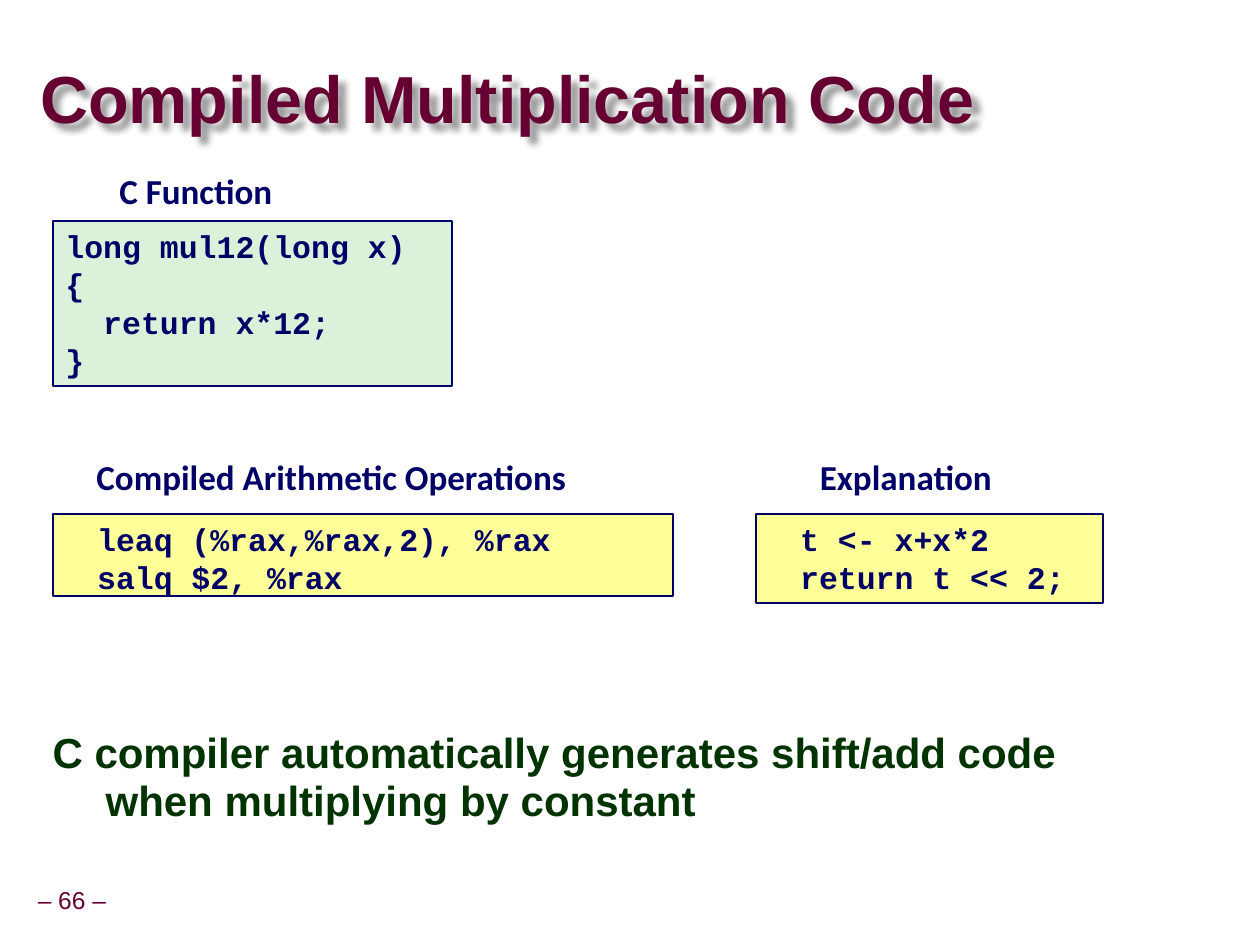
from lxml import etree
from pptx import Presentation
from pptx.dml.color import RGBColor
from pptx.enum import shapes, text
from pptx.oxml import ns
from pptx.util import Cm, Pt

COLORS = {
    "maroon": "660033",
    "navy": "000066",
    "forest": "003300",
    "mint": "DBF2DA",
    "yellow": "FFFF99",
    "shadow": "000000",
}
TAB_STOPS = (0.64, 2.54)


def rgb(name):
    """Return the named palette colour."""
    return RGBColor.from_string(COLORS[name])


def style(paragraph, face, size, color, bold=True, spacing=None):
    """Set the font and line spacing of a paragraph."""
    font = paragraph.font
    font.name, font.size, font.bold = face, Pt(size), bold
    font.color.rgb = rgb(color)
    if spacing:
        paragraph.line_spacing = spacing


def set_insets(frame, horizontal, vertical):
    """Set the inner margins of a text frame in centimetres."""
    frame.margin_left = frame.margin_right = Cm(horizontal)
    frame.margin_top = frame.margin_bottom = Cm(vertical)


def add_tab_stops(paragraph):
    """Add the left tab stops that align the code columns."""
    properties = paragraph._p.get_or_add_pPr()
    stops = etree.SubElement(properties, ns.qn("a:tabLst"))
    for position in TAB_STOPS:
        etree.SubElement(stops, ns.qn("a:tab"), pos=str(Cm(position)), algn="l")


def add_soft_shadow(shape):
    """Give the shape a blurred shadow to the lower right."""
    effects = etree.SubElement(shape._element.spPr, ns.qn("a:effectLst"))
    shadow = etree.SubElement(effects, ns.qn("a:outerShdw"), blurRad="50800",
                              dist="63500", dir="2700000", algn="tl", rotWithShape="0")
    color = etree.SubElement(shadow, ns.qn("a:srgbClr"), val=COLORS["shadow"])
    etree.SubElement(color, ns.qn("a:alpha"), val="40000")


def fill_title(slide, left, top, width, height):
    """Place and format the slide title."""
    title = slide.shapes.title
    title.left, title.top, title.width, title.height = map(Cm, (left, top, width, height))
    frame = title.text_frame
    frame.text = "Compiled Multiplication Code"
    frame.vertical_anchor = text.MSO_ANCHOR.MIDDLE
    frame.auto_size = text.MSO_AUTO_SIZE.NONE
    set_insets(frame, 0, 0)
    heading = frame.paragraphs[0]
    heading.alignment = text.PP_ALIGN.LEFT
    style(heading, "Arial", 38, "maroon", spacing=0.87)
    add_soft_shadow(title)


def add_label(slide, wording, left, top, width, height, **look):
    """Add a one-line centred label."""
    frame = slide.shapes.add_textbox(*map(Cm, (left, top, width, height))).text_frame
    frame.text = wording
    frame.word_wrap = False
    frame.vertical_anchor = text.MSO_ANCHOR.MIDDLE
    set_insets(frame, 0.13, 0.13)
    frame.paragraphs[0].alignment = text.PP_ALIGN.CENTER
    style(frame.paragraphs[0], **look)


def add_code_panel(slide, caption, code, fill, left, top, width, height,
                   caption_offset, caption_width, caption_rise):
    """Add a framed code listing with a caption above it."""
    panel = slide.shapes.add_shape(shapes.MSO_SHAPE.RECTANGLE,
                                   *map(Cm, (left, top, width, height)))
    panel.shadow.inherit = False
    panel.fill.solid()
    panel.fill.fore_color.rgb = rgb(fill)
    panel.line.color.rgb = rgb("navy")
    panel.line.width = Pt(1)
    frame = panel.text_frame
    frame.word_wrap = True
    frame.vertical_anchor = text.MSO_ANCHOR.TOP
    set_insets(frame, 0.25, 0.13)
    frame.text = code
    for line in frame.paragraphs:
        line.alignment = text.PP_ALIGN.LEFT
        if "\t" in line.text:
            add_tab_stops(line)
        style(line, "Courier New", 18, "navy")
    add_label(slide, caption, left + caption_offset, top - caption_rise,
              caption_width, 1.12, face="Calibri", size=20, color="navy")


def add_conclusion(slide, left, top, width, height):
    """Add the closing statement with a hanging indent."""
    frame = slide.shapes.add_textbox(*map(Cm, (left, top, width, height))).text_frame
    frame.word_wrap = True
    set_insets(frame, 0.25, 0.13)
    frame.text = ("C compiler automatically generates shift/add code "
                  "when multiplying by constant")
    statement = frame.paragraphs[0]
    properties = statement._p.get_or_add_pPr()
    properties.set("marL", str(Cm(1.07)))
    properties.set("indent", str(-Cm(1.07)))
    style(statement, "Arial", 24, "forest", spacing=0.95)


def main():
    """Build and save the presentation."""
    deck = Presentation()
    deck.slide_width, deck.slide_height = Cm(25.4), Cm(19.05)
    slide = deck.slides.add_slide(deck.slide_layouts[5])
    fill_title(slide, 0.81, 1.27, 19.91, 1.6)
    add_code_panel(slide, "C Function", "long mul12(long x)\n{\n  return x*12;\n}",
                   "mint", 1.07, 4.45, 8.05, 3.33, 1.19, 3.38, 1.17)
    add_code_panel(slide, "Compiled Arithmetic Operations",
                   "\tleaq\t(%rax,%rax,2), %rax\n\tsalq\t$2, %rax",
                   "yellow", 1.07, 10.36, 12.5, 1.65, 0.71, 9.8, 1.32)
    add_code_panel(slide, "Explanation", "\tt <- x+x*2\n\treturn t << 2;",
                   "yellow", 15.24, 10.36, 6.99, 1.8, 1.14, 3.76, 1.32)
    add_conclusion(slide, 0.81, 14.6, 23.09, 3.3)
    add_label(slide, "– 66 –", 0.61, 17.78, 1.68, 0.79, face="Arial", size=14,
              color="maroon", bold=False, spacing=0.9)
    deck.save("out.pptx")


if __name__ == "__main__":
    main()
